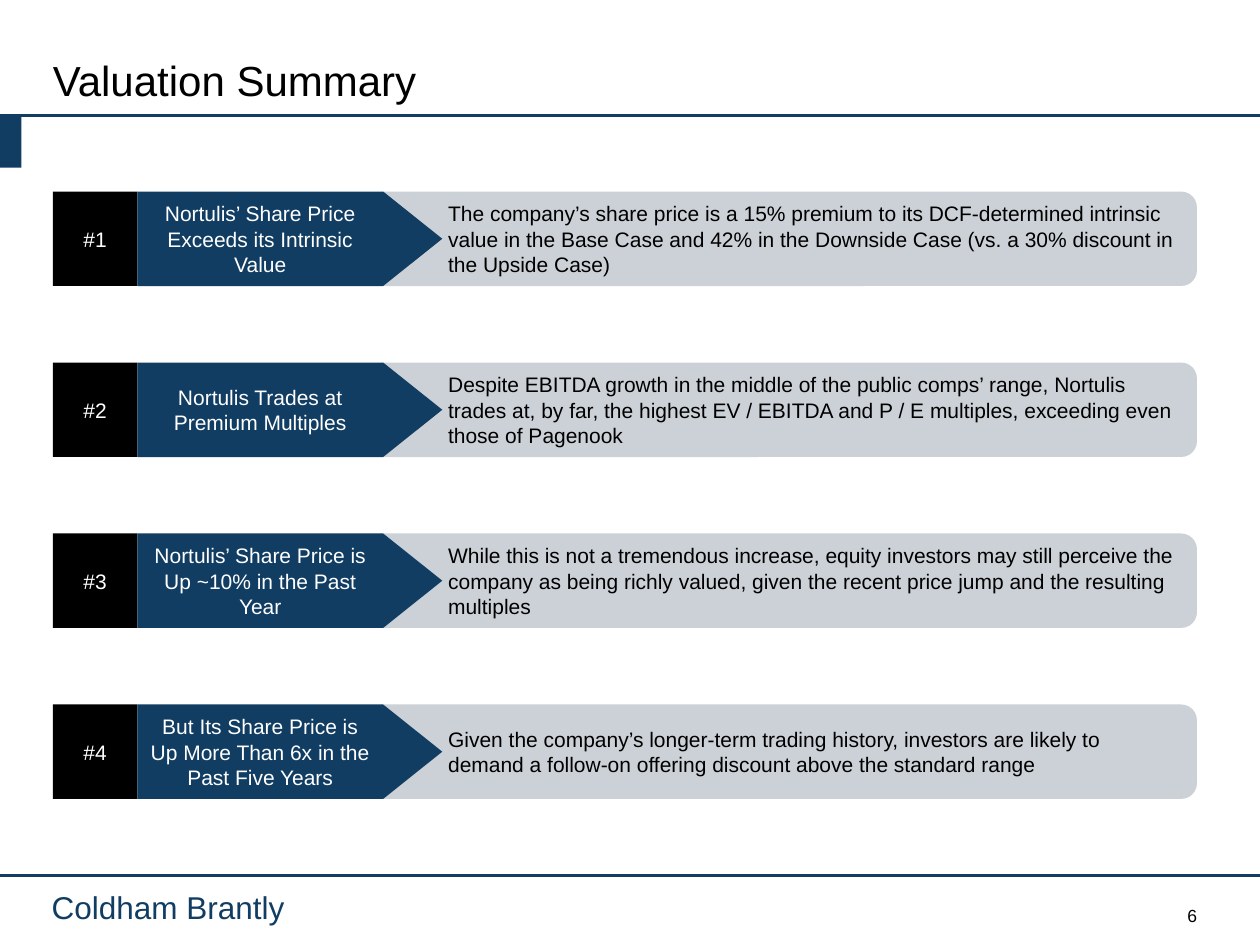
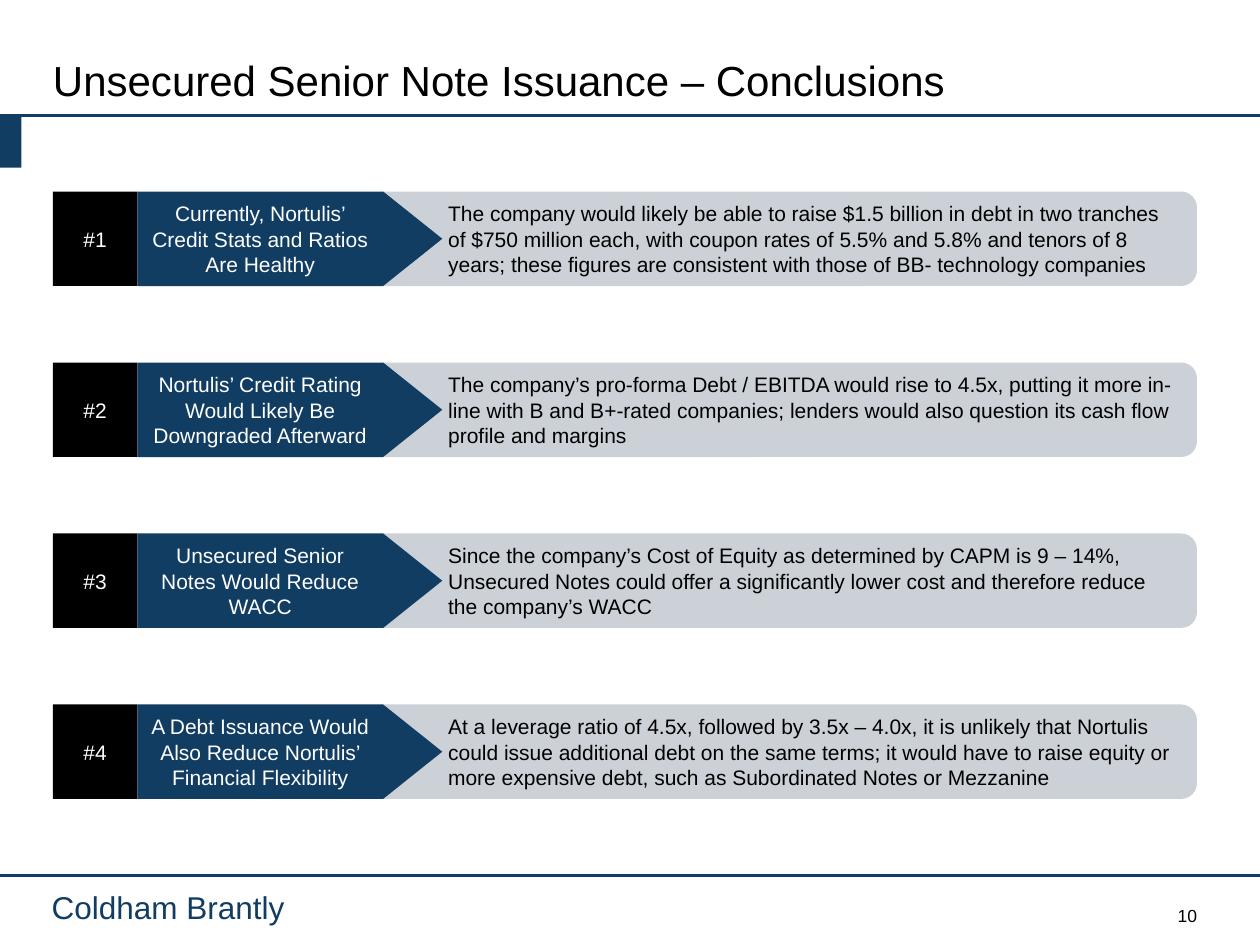
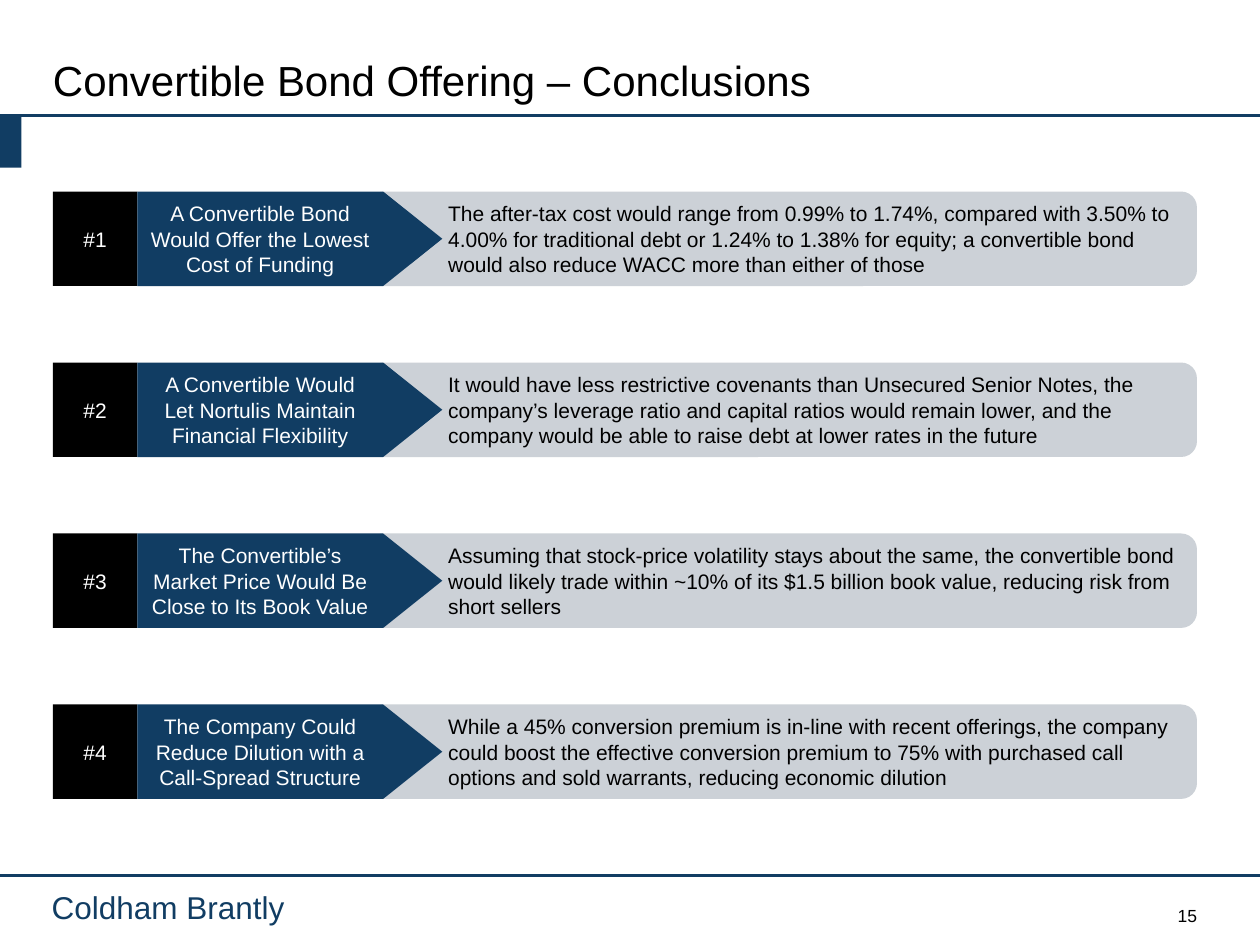
from lxml import etree
from pptx import Presentation
from pptx.dml.color import RGBColor
from pptx.enum.shapes import MSO_CONNECTOR, MSO_SHAPE
from pptx.enum.text import MSO_ANCHOR, PP_ALIGN
from pptx.oxml.ns import qn
from pptx.util import Inches, Pt

LINE = MSO_CONNECTOR.STRAIGHT
RECT = MSO_SHAPE.RECTANGLE
ROUND = MSO_SHAPE.ROUNDED_RECTANGLE
ARROW = MSO_SHAPE.RIGHT_ARROW
LEFT, MID, RIGHT, JUST = PP_ALIGN.LEFT, PP_ALIGN.CENTER, PP_ALIGN.RIGHT, PP_ALIGN.JUSTIFY
TOP, CENTER, BASE = MSO_ANCHOR.TOP, MSO_ANCHOR.MIDDLE, MSO_ANCHOR.BOTTOM

FONT = "Arial"
NAVY, GRAY, BLACK, WHITE = "113D63", "CCD1D7", "000000", "FFFFFF"
BANK = "Coldham Brantly"
RULES = (0.92, 6.95)
MARGIN, EDGE = 0.42, 9.5
FIRST, STEP, HIGH = 1.52, 1.357, 0.75
NUM_W, ARROW_W, BAR_X = 0.67, 2.42, 2.92
NONE = (0, 0, 0, 0)
INSET = (0.1, 0.05, 0.1, 0.05)
BAR_INSET = (0.6, 0.05, 0.1, 0.05)

SLIDES = [
    ("Valuation Summary", 6, [
        ("Nortulis’ Share Price Exceeds its Intrinsic Value",
         "The company’s share price is a 15% premium to its DCF-determined intrinsic value "
         "in the Base Case and 42% in the Downside Case (vs. a 30% discount in the Upside Case)"),
        ("Nortulis Trades at Premium Multiples",
         "Despite EBITDA growth in the middle of the public comps’ range, Nortulis trades at, "
         "by far, the highest EV / EBITDA and P / E multiples, exceeding even those of Pagenook"),
        ("Nortulis’ Share Price is Up ~10% in the Past Year",
         "While this is not a tremendous increase, equity investors may still perceive the company "
         "as being richly valued, given the recent price jump and the resulting multiples"),
        ("But Its Share Price is Up More Than 6x in the Past Five Years",
         "Given the company’s longer-term trading history, investors are likely to demand "
         "a follow-on offering discount above the standard range"),
    ]),
    ("Unsecured Senior Note Issuance – Conclusions", 10, [
        ("Currently, Nortulis’ Credit Stats and Ratios Are Healthy",
         "The company would likely be able to raise $1.5 billion in debt in two tranches of "
         "$750 million each, with coupon rates of 5.5% and 5.8% and tenors of 8 years; "
         "these figures are consistent with those of BB- technology companies"),
        ("Nortulis’ Credit Rating Would Likely Be Downgraded Afterward",
         "The company’s pro-forma Debt / EBITDA would rise to 4.5x, putting it more in-line with "
         "B and B+-rated companies; lenders would also question its cash flow profile and margins"),
        ("Unsecured Senior Notes Would Reduce WACC",
         "Since the company’s Cost of Equity as determined by CAPM is 9 – 14%, Unsecured Notes "
         "could offer a significantly lower cost and therefore reduce the company’s WACC"),
        ("A Debt Issuance Would Also Reduce Nortulis’ Financial Flexibility",
         "At a leverage ratio of 4.5x, followed by 3.5x – 4.0x, it is unlikely that Nortulis could "
         "issue additional debt on the same terms; it would have to raise equity or more "
         "expensive debt, such as Subordinated Notes or Mezzanine"),
    ]),
    ("Convertible Bond Offering – Conclusions", 15, [
        ("A Convertible Bond Would Offer the Lowest Cost of Funding",
         "The after-tax cost would range from 0.99% to 1.74%, compared with 3.50% to 4.00% for "
         "traditional debt or 1.24% to 1.38% for equity; a convertible bond would also reduce "
         "WACC more than either of those"),
        ("A Convertible Would Let Nortulis Maintain Financial Flexibility",
         "It would have less restrictive covenants than Unsecured Senior Notes, the company’s "
         "leverage ratio and capital ratios would remain lower, and the company would be able "
         "to raise debt at lower rates in the future"),
        ("The Convertible’s Market Price Would Be Close to Its Book Value",
         "Assuming that stock-price volatility stays about the same, the convertible bond would "
         "likely trade within ~10% of its $1.5 billion book value, reducing risk from short sellers"),
        ("The Company Could Reduce Dilution with a Call-Spread Structure",
         "While a 45% conversion premium is in-line with recent offerings, the company could boost "
         "the effective conversion premium to 75% with purchased call options and sold warrants, "
         "reducing economic dilution"),
    ]),
]


def color(code):
    return RGBColor.from_string(code)


def write(shape, text, size=12, ink=BLACK, align=LEFT, anchor=CENTER, inset=NONE):
    frame = shape.text_frame
    frame.word_wrap = True
    frame.vertical_anchor = anchor
    (frame.margin_left, frame.margin_top,
     frame.margin_right, frame.margin_bottom) = map(Inches, inset)
    para = frame.paragraphs[0]
    para.alignment = align
    run = para.add_run()
    run.text = text
    run.font.name = FONT
    run.font.size = Pt(size)
    run.font.color.rgb = color(ink)


def block(slide, kind, box, fill, adjust=()):
    shape = slide.shapes.add_shape(kind, *map(Inches, box))
    shape.shadow.inherit = False
    shape.fill.solid()
    shape.fill.fore_color.rgb = color(fill)
    shape.line.fill.background()
    for i, value in enumerate(adjust):
        shape.adjustments[i] = value
    return shape


def label(slide, box, text, **style):
    write(slide.shapes.add_textbox(*map(Inches, box)), text, **style)


def rule(slide, y):
    line = slide.shapes.add_connector(LINE, 0, Inches(y), Inches(10), Inches(y))
    line.line.color.rgb = color(NAVY)
    line.line.width = Pt(1.75)
    etree.SubElement(line.element.spPr, qn("a:effectLst"))


def frame(slide, title, page):
    for y in RULES:
        rule(slide, y)
    block(slide, RECT, (0, RULES[0], 0.17, 0.41), NAVY)
    label(slide, (0.41, 7.05, 2.5, 0.3), BANK, size=18, ink=NAVY, anchor=TOP)
    label(slide, (7.17, 7.18, 2.33, 0.17), str(page), size=10, align=RIGHT, anchor=BASE)
    head = slide.shapes.title
    head.left, head.top, head.width, head.height = map(
        Inches, (MARGIN, 0.43, EDGE - MARGIN, 0.4))
    write(head, title, size=24, align=JUST)


def point(slide, i, claim, proof):
    y = FIRST + i * STEP
    bar = block(slide, ROUND, (BAR_X, y, EDGE - BAR_X, HIGH), GRAY, (0.167,))
    write(bar, proof, inset=BAR_INSET)
    num = block(slide, RECT, (MARGIN, y, NUM_W, HIGH), BLACK)
    write(num, f"#{i + 1}", ink=WHITE, align=MID, inset=INSET)
    arrow = block(slide, ARROW, (MARGIN + NUM_W, y, ARROW_W, HIGH), NAVY, (1, 0.626))
    write(arrow, claim, ink=WHITE, align=MID, inset=INSET)


def main():
    deck = Presentation()
    deck.slide_width, deck.slide_height = Inches(10), Inches(7.5)
    for title, page, points in SLIDES:
        slide = deck.slides.add_slide(deck.slide_layouts[5])
        frame(slide, title, page)
        for i, (claim, proof) in enumerate(points):
            point(slide, i, claim, proof)
    deck.save("out.pptx")


if __name__ == "__main__":
    main()
